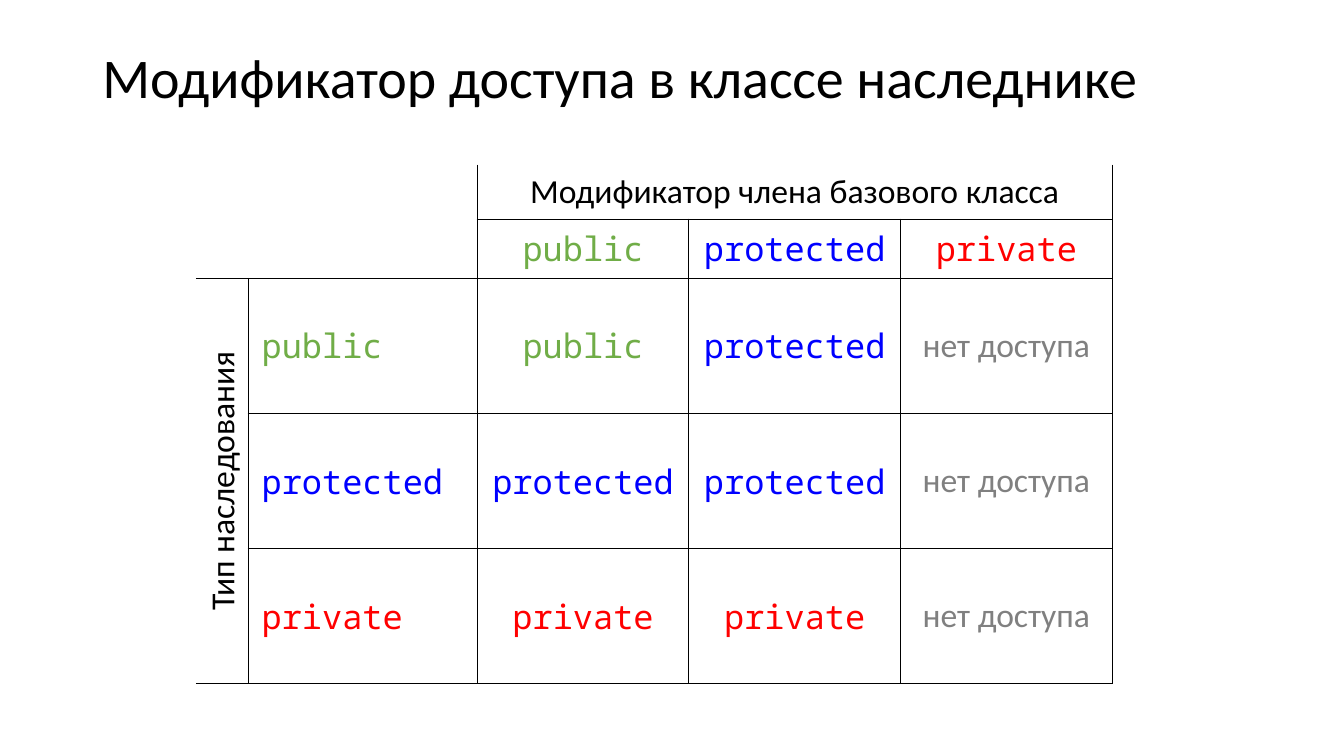
"""Build a slide with a table of C++ member access under inheritance."""
from dataclasses import dataclass

from lxml.etree import SubElement
from pptx import Presentation
from pptx.dml.color import RGBColor
from pptx.enum.text import MSO_ANCHOR as Anchor, PP_ALIGN as Align
from pptx.oxml.ns import qn
from pptx.table import Table, _Cell as Cell
from pptx.text.text import TextFrame
from pptx.util import Pt

COLORS = {
    "text": "000000",
    "public": "70AD47",
    "protected": "0000FF",
    "private": "FF0000",
    "нет доступа": "808080",
}
MODIFIERS = ("public", "protected", "private")
NO_ACCESS = "нет доступа"
INHERITED = {
    "public": ("public", "protected", NO_ACCESS),
    "protected": ("protected", "protected", NO_ACCESS),
    "private": ("private", "private", NO_ACCESS),
}
COLUMN_WIDTHS = (37.4, 163.6, 151.2, 151.2, 151.2)
ROW_HEIGHTS = (38.4, 38.4, 96.5, 96.5, 96.5)
NO_GRID_STYLE = "{2D5ABB26-0587-4C30-8999-92F81FD0307C}"


@dataclass(frozen=True)
class Entry:
    row: int
    column: int
    text: str = ""
    row_span: int = 1
    column_span: int = 1
    align: Align = Align.CENTER
    vertical: bool = False


def write_text(frame: TextFrame, text: str, *, size: float = 24, color: str = "text",
               font: str = "Calibri", align: Align = Align.LEFT,
               line_spacing: float = 1.0) -> None:
    para = frame.paragraphs[0]
    para.alignment = align
    para.line_spacing = line_spacing
    span = para.add_run()
    span.text = text
    span.font.size = Pt(size)
    span.font.name = font
    span.font.color.rgb = RGBColor.from_string(COLORS[color])


def draw_borders(cell: Cell, sides: str) -> None:
    properties = cell._tc.get_or_add_tcPr()
    for side in sides:
        line = SubElement(properties, qn(f"a:ln{side}"), w=str(Pt(1)))
        fill = SubElement(line, qn("a:solidFill"))
        SubElement(fill, qn("a:srgbClr"), val=COLORS["text"])


def fill_entry(table: Table, entry: Entry) -> None:
    cell = table.cell(entry.row, entry.column)
    if entry.row_span * entry.column_span > 1:
        cell.merge(table.cell(entry.row + entry.row_span - 1,
                              entry.column + entry.column_span - 1))
    hidden = ("L" if entry.column == 0 else "") + ("T" if entry.row == 0 else "")
    draw_borders(cell, "".join(side for side in "LRTB" if side not in hidden))
    cell.fill.background()
    cell.vertical_anchor = Anchor.MIDDLE
    cell.margin_left = cell.margin_right = Pt(9.6)
    cell.margin_top = cell.margin_bottom = Pt(4.8)
    if entry.vertical:
        cell._tc.get_or_add_tcPr().set("vert", "vert270")
    if entry.text:
        write_text(cell.text_frame, entry.text, align=entry.align,
                   color=entry.text if entry.text in COLORS else "text",
                   font="Noto Sans Mono" if entry.text in MODIFIERS else "Calibri")


def access_entries() -> list[Entry]:
    entries = [
        Entry(0, 0, row_span=2, column_span=2),
        Entry(0, 2, "Модификатор члена базового класса", column_span=3),
        Entry(2, 0, "Тип наследования", row_span=3, vertical=True),
    ]
    entries += [Entry(1, column, name) for column, name in enumerate(MODIFIERS, 2)]
    for row, (inheritance, results) in enumerate(INHERITED.items(), 2):
        entries.append(Entry(row, 1, inheritance, align=Align.LEFT))
        entries += [Entry(row, column, name) for column, name in enumerate(results, 2)]
    return entries


def main() -> None:
    deck = Presentation()
    deck.slide_width, deck.slide_height = Pt(960), Pt(540)
    page = deck.slides.add_slide(deck.slide_layouts[6])

    graphic = page.shapes.add_table(
        len(ROW_HEIGHTS), len(COLUMN_WIDTHS), Pt(139.9), Pt(117.6),
        Pt(sum(COLUMN_WIDTHS)), Pt(sum(ROW_HEIGHTS)))
    table = graphic.table
    table.first_row = table.horz_banding = False
    table._tbl.tblPr.find(qn("a:tableStyleId")).text = NO_GRID_STYLE
    for column, width in zip(table.columns, COLUMN_WIDTHS):
        column.width = Pt(width)
    for row, height in zip(table.rows, ROW_HEIGHTS):
        row.height = Pt(height)
    for entry in access_entries():
        fill_entry(table, entry)

    title = page.shapes.add_textbox(Pt(66), Pt(28.8), Pt(828), Pt(56.9))
    title.text_frame.word_wrap = True
    title.text_frame.vertical_anchor = Anchor.MIDDLE
    write_text(title.text_frame, "Модификатор доступа в классе наследнике",
               size=40, line_spacing=0.9)
    deck.save("out.pptx")


if __name__ == "__main__":
    main()
